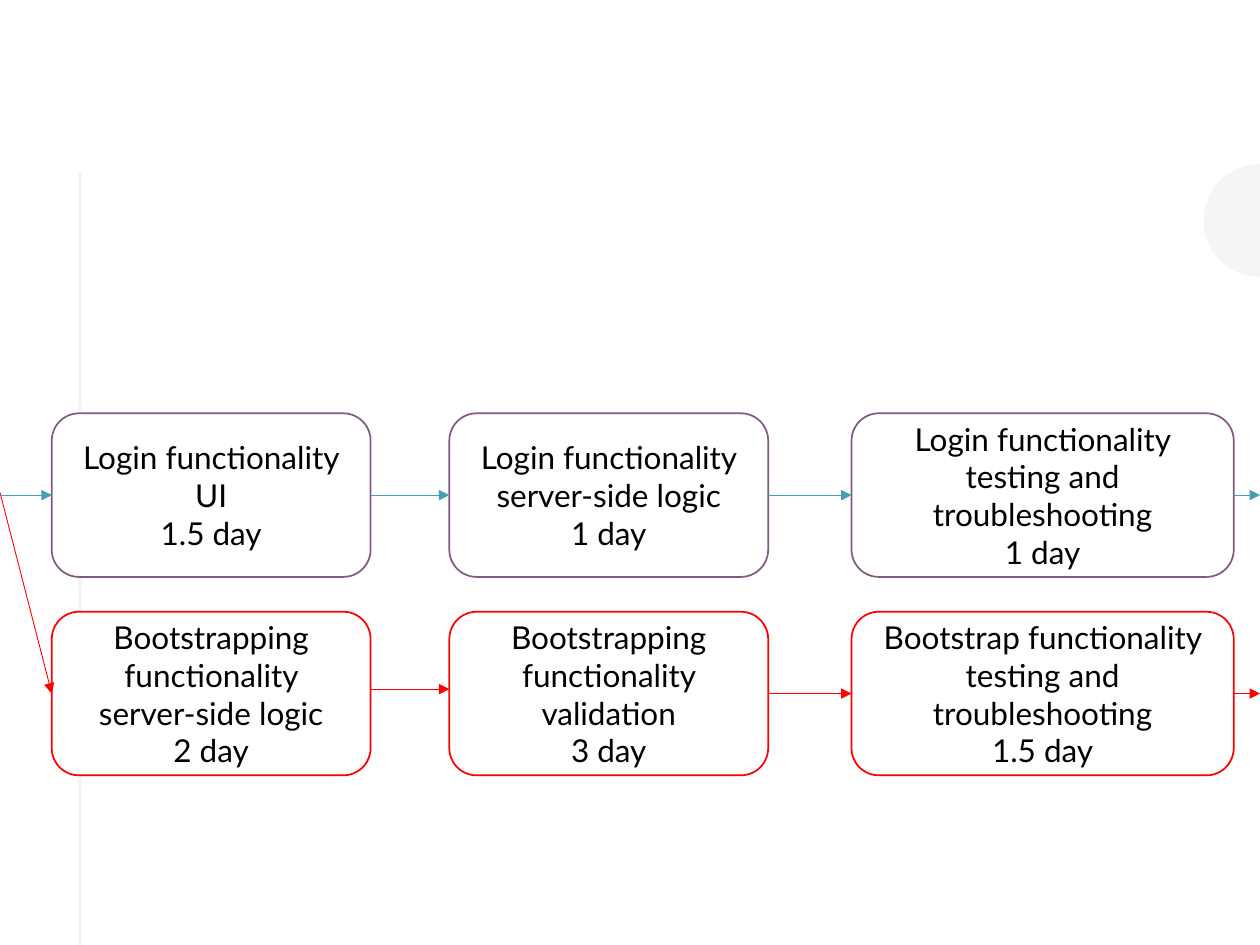
import math
from lxml import etree
from pptx import Presentation
from pptx.dml.color import RGBColor
from pptx.enum import shapes as es, text as et
from pptx.oxml import ns
from pptx.util import Pt

WHITE = RGBColor(0xFF, 0xFF, 0xFF)
BLACK = RGBColor(0, 0, 0)
PALE = RGBColor(0xF5, 0xF5, 0xF5)
PLUM = RGBColor(0x83, 0x5B, 0x82)
TEAL = RGBColor(0x43, 0x9E, 0xB7)
RED = RGBColor(0xFF, 0, 0)
WIDE, HIGH = 720, 540
COLS = [(29.6, 182.2), (256.8, 182.2), (486.6, 218.4)]
TALL = 93.5
LEFT, RIGHT = 1, 3
ROWS = [
    (236.2, PLUM, TEAL, [
        ("Login functionality UI", "1.5 day"),
        ("Login functionality server-side logic", "1 day"),
        ("Login functionality testing and troubleshooting", "1 day")]),
    (349.6, RED, RED, [
        ("Bootstrapping functionality server-side logic", "2 day"),
        ("Bootstrapping functionality validation", "3 day"),
        ("Bootstrap functionality testing and troubleshooting", "1.5 day")]),
]


def add_disc(slide, x, y, rad):
    """Draw the left half of a disc centred on x, y."""
    turns = [math.pi * (0.5 + i / 48) for i in range(49)]
    pts = [(Pt(x + rad * math.cos(t)), Pt(y - rad * math.sin(t))) for t in turns]
    form = slide.shapes.build_freeform(*pts[0])
    form.add_line_segments(pts[1:], close=True)
    disc = form.convert_to_shape()
    disc.shadow.inherit = False
    disc.fill.solid()
    disc.fill.fore_color.rgb = PALE
    disc.line.fill.background()


def add_line(slide, start, end, color, width):
    """Draw a straight line without shadow."""
    line = slide.shapes.add_connector(
        es.MSO_CONNECTOR.STRAIGHT, *map(Pt, start + end))
    line.line.color.rgb = color
    line.line.width = Pt(width)
    etree.SubElement(line._element.spPr, ns.qn("a:effectLst"))
    return line


def add_arrow(slide, start, end, color, head=None, tail=None):
    """Draw an arrow, joined to the tasks it leaves and meets."""
    line = add_line(slide, start, end, color, 0.5)
    tip = etree.SubElement(line.line._get_or_add_ln(), ns.qn("a:tailEnd"))
    tip.set("type", "triangle")
    if head is not None:
        line.begin_connect(head, RIGHT)
    if tail is not None:
        line.end_connect(tail, LEFT)


def add_task(slide, x, y, width, color, lines):
    """Draw a rounded box with the name and length of a task."""
    box = slide.shapes.add_shape(
        es.MSO_SHAPE.ROUNDED_RECTANGLE, Pt(x), Pt(y), Pt(width), Pt(TALL))
    box.shadow.inherit = False
    box.fill.solid()
    box.fill.fore_color.rgb = WHITE
    box.line.color.rgb = color
    box.line.width = Pt(1)
    frame = box.text_frame
    frame.word_wrap = True
    frame.vertical_anchor = et.MSO_ANCHOR.MIDDLE
    for i, words in enumerate(lines):
        para = frame.add_paragraph() if i else frame.paragraphs[0]
        para.alignment = et.PP_ALIGN.CENTER
        run = para.add_run()
        run.text = words
        run.font.name = "Lato"
        run.font.size = Pt(18)
        run.font.color.rgb = BLACK
    return box


def add_row(slide, top, edge, color, tasks):
    """Draw a row of tasks with the arrows after each; return the tasks."""
    boxes = [add_task(slide, x, top, w, edge, lines)
             for (x, w), lines in zip(COLS, tasks)]
    mid = top + TALL / 2
    ends = [x for x, _ in COLS[1:]] + [WIDE]
    for i, ((x, w), end) in enumerate(zip(COLS, ends)):
        if color == RED and i == 0:
            add_arrow(slide, (x + w, 393.8), (end, 393.8), color)
        else:
            follow = boxes[i + 1] if i + 1 < len(boxes) else None
            add_arrow(slide, (x + w, mid), (end, mid), color, boxes[i], follow)
    return boxes


def main():
    """Build the slide and save it."""
    deck = Presentation()
    deck.slide_width, deck.slide_height = Pt(WIDE), Pt(HIGH)
    slide = deck.slides.add_slide(deck.slide_layouts[6])
    add_disc(slide, WIDE, 126, 32.2)
    add_line(slide, (45.6, 99), (45.6, HIGH), PALE, 2)
    login, boot = [add_row(slide, *row)[0] for row in ROWS]
    edge = COLS[0][0]
    mids = [row[0] + TALL / 2 for row in ROWS]
    add_arrow(slide, (0, 281.5), (edge, mids[1]), RED, tail=boot)
    add_arrow(slide, (0, mids[0]), (edge, mids[0]), TEAL, tail=login)
    deck.save("out.pptx")


if __name__ == "__main__":
    main()
